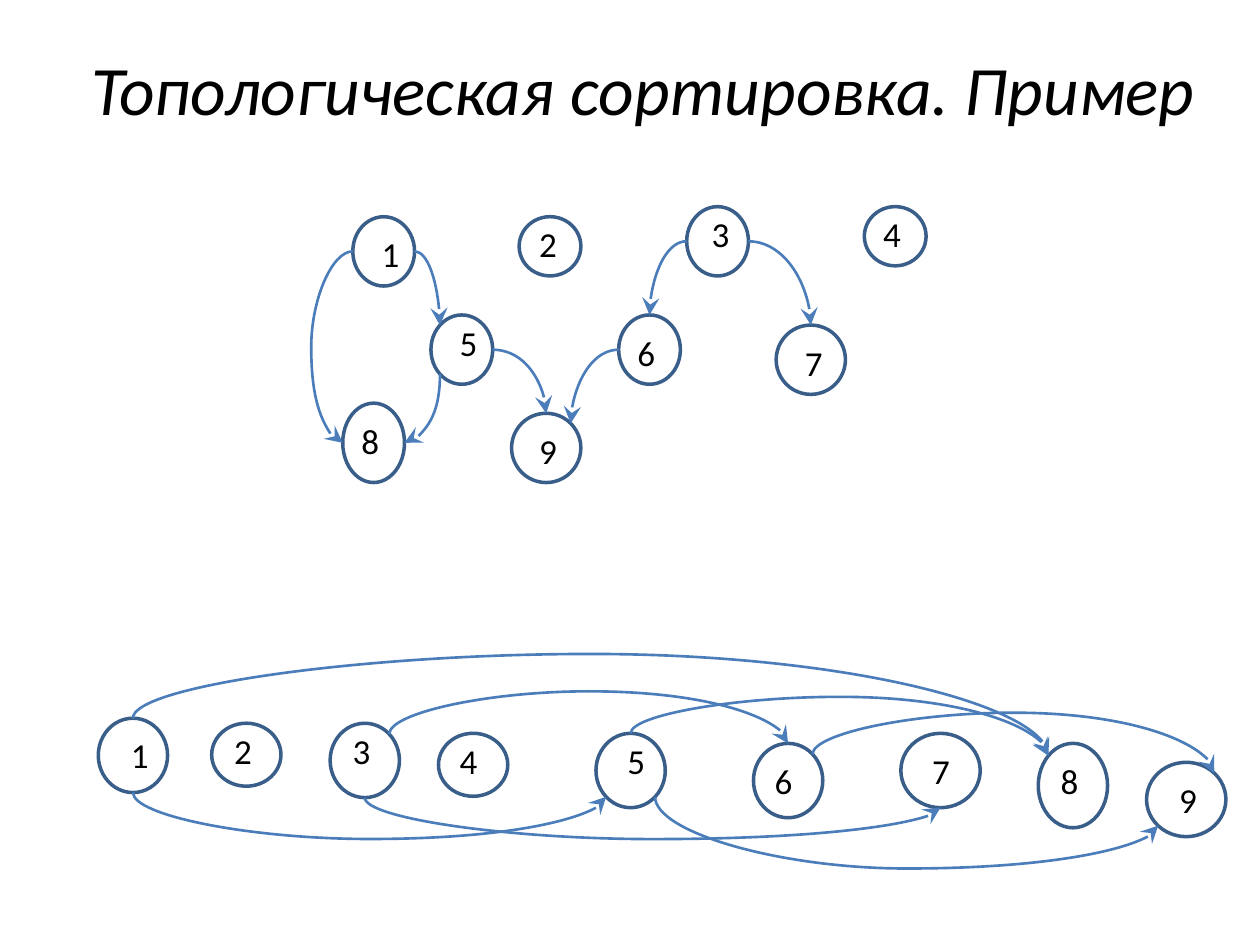
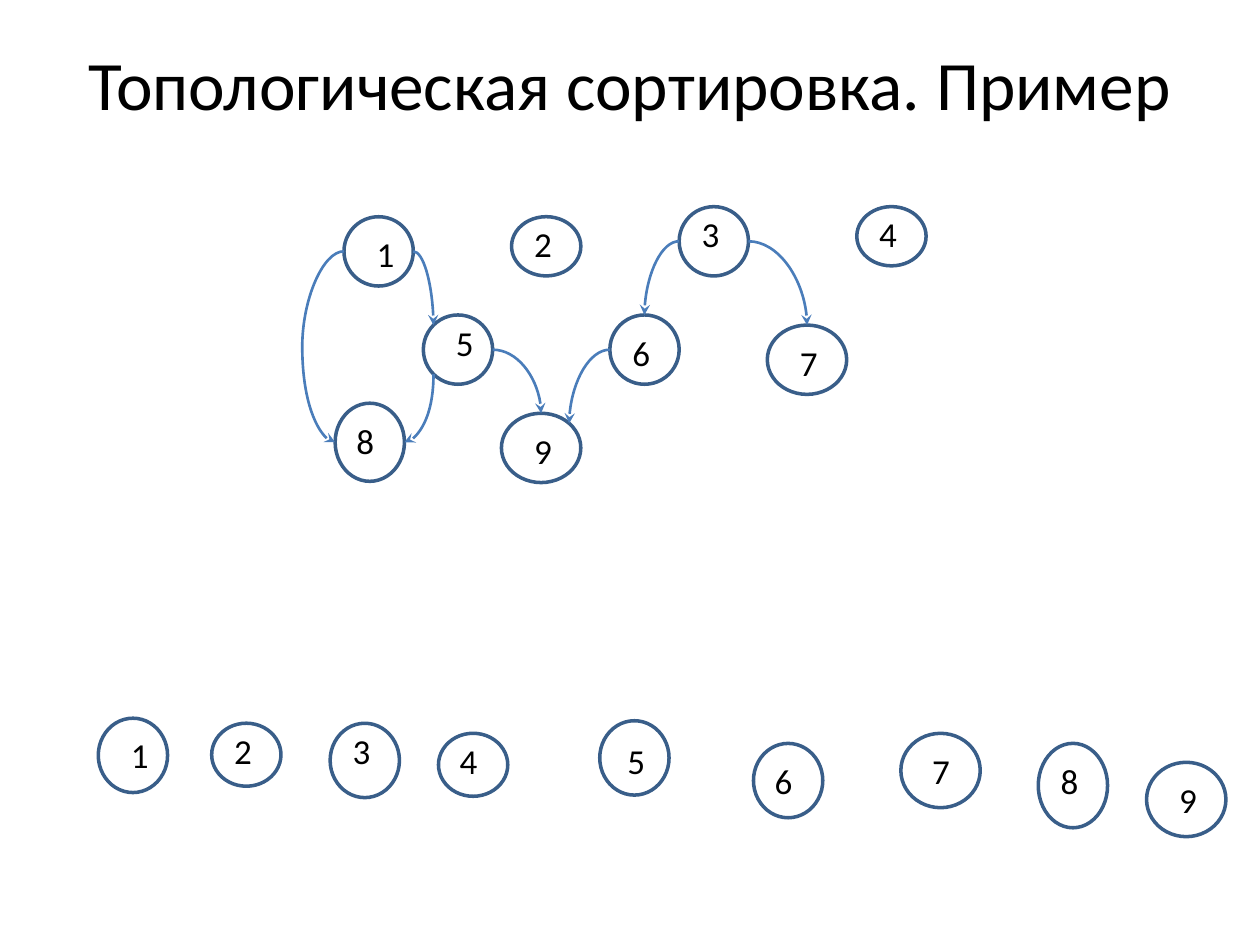
from math import sqrt

from lxml.etree import SubElement
from pptx import Presentation
from pptx.dml.color import RGBColor
from pptx.enum.shapes import MSO_CONNECTOR, MSO_SHAPE
from pptx.enum.text import MSO_ANCHOR, MSO_AUTO_SIZE, PP_ALIGN
from pptx.oxml.ns import qn
from pptx.util import Inches, Pt

TITLE = "Топологическая сортировка. Пример"
FONT = "Calibri"
COLORS = {"ring": "395E89", "arrow": "4A7DBA", "text": "000000"}
LABEL_HEIGHT = 0.44

# vertex: (left, top, width, height), (label left, label top, label width)
NARROW_GRAPH = {
    "1": ((2.80, 1.72, 0.49, 0.55), (2.93, 1.80, 0.28)),
    "2": ((4.12, 1.72, 0.49, 0.47), (4.18, 1.72, 0.31)),
    "3": ((5.45, 1.64, 0.49, 0.55), (5.55, 1.64, 0.24)),
    "4": ((6.86, 1.64, 0.49, 0.47), (6.91, 1.64, 0.31)),
    "5": ((3.42, 2.50, 0.49, 0.55), (3.55, 2.50, 0.28)),
    "6": ((4.91, 2.50, 0.49, 0.55), (4.96, 2.58, 0.28)),
    "7": ((6.16, 2.58, 0.55, 0.55), (6.29, 2.66, 0.29)),
    "8": ((2.72, 3.20, 0.49, 0.63), (2.77, 3.28, 0.31)),
    "9": ((4.06, 3.28, 0.55, 0.55), (4.18, 3.36, 0.28)),
}
WIDE_GRAPH = {
    "1": ((2.73, 1.72, 0.55, 0.55), (2.89, 1.80, 0.31)),
    "2": ((4.06, 1.72, 0.55, 0.47), (4.14, 1.72, 0.34)),
    "3": ((5.39, 1.64, 0.55, 0.55), (5.47, 1.64, 0.31)),
    "4": ((6.80, 1.64, 0.55, 0.47), (6.88, 1.64, 0.34)),
    "5": ((3.36, 2.50, 0.55, 0.55), (3.52, 2.50, 0.31)),
    "6": ((4.84, 2.50, 0.55, 0.55), (4.92, 2.58, 0.31)),
    "7": ((6.09, 2.58, 0.63, 0.55), (6.25, 2.66, 0.31)),
    "8": ((2.66, 3.20, 0.55, 0.62), (2.73, 3.28, 0.34)),
    "9": ((3.98, 3.28, 0.63, 0.55), (4.14, 3.36, 0.31)),
}
SORTED_ROW = {
    "1": ((0.78, 5.70, 0.55, 0.59), (0.94, 5.77, 0.35)),
    "2": ((1.68, 5.74, 0.55, 0.50), (1.76, 5.74, 0.34)),
    "3": ((2.62, 5.74, 0.55, 0.59), (2.70, 5.74, 0.31)),
    "4": ((3.48, 5.82, 0.55, 0.50), (3.55, 5.82, 0.34)),
    "5": ((4.73, 5.82, 0.55, 0.59), (4.88, 5.82, 0.31)),
    "6": ((5.98, 5.90, 0.55, 0.59), (6.05, 5.98, 0.31)),
    "7": ((7.15, 5.82, 0.63, 0.59), (7.30, 5.90, 0.31)),
    "8": ((8.24, 5.90, 0.55, 0.67), (8.32, 5.98, 0.34)),
    "9": ((9.10, 6.05, 0.63, 0.59), (9.26, 6.13, 0.31)),
}
RAISED_ROW = SORTED_ROW | {"5": ((4.76, 5.72, 0.55, 0.59), (4.88, 5.82, 0.31))}

# Points on a vertex, in the order of the ellipse's connection sites
DIAGONAL = sqrt(0.5)
SITES = {
    "top": (0, -1),
    "top left": (-DIAGONAL, -DIAGONAL),
    "left": (-1, 0),
    "bottom left": (-DIAGONAL, DIAGONAL),
    "bottom": (0, 1),
    "bottom right": (DIAGONAL, DIAGONAL),
    "right": (1, 0),
    "top right": (DIAGONAL, -DIAGONAL),
}
SITE_ORDER = list(SITES)

# source, its site, target, its site, bow (how far the arc swings past its start)
GRAPH_EDGES = [
    ("3", "left", "6", "top", None),
    ("6", "left", "9", "top right", None),
    ("5", "right", "9", "top", None),
    ("5", "bottom left", "8", "right", None),
    ("1", "left", "8", "left", -0.33),
    ("1", "right", "5", "top left", None),
    ("3", "right", "7", "top", None),
]
ROW_EDGES = [
    ("3", "top right", "6", "top", -0.34),
    ("6", "top right", "9", "top right", -0.33),
    ("5", "bottom right", "9", "bottom left", 0.57),
    ("5", "top", "8", "top left", -0.29),
    ("1", "top", "8", "top left", -0.51),
    ("1", "bottom", "5", "bottom left", 0.37),
    ("3", "bottom", "7", "bottom", 0.33),
]

SLIDES = [
    {
        "title_box": (0.47, 0.23, 9.27, 0.94), "italic": True, "head": "lg",
        "parts": [(NARROW_GRAPH, GRAPH_EDGES), (SORTED_ROW, ROW_EDGES)],
    },
    {
        "title_box": (0.5, 0.3, 9, 0.72), "italic": False, "head": "med",
        "parts": [(WIDE_GRAPH, GRAPH_EDGES), (RAISED_ROW, [])],
    },
]


def color(name):
    return RGBColor.from_string(COLORS[name])


def add_text(slide, box, text, size, italic=False):
    frame = slide.shapes.add_textbox(*map(Inches, box)).text_frame
    frame.word_wrap = True
    run = frame.paragraphs[0].add_run()
    run.text = text
    run.font.name, run.font.size, run.font.italic = FONT, Pt(size), italic
    run.font.color.rgb = color("text")
    return frame


def add_title(slide, box, italic):
    frame = add_text(slide, box, TITLE, 39.6, italic)
    frame.vertical_anchor = MSO_ANCHOR.MIDDLE
    frame.paragraphs[0].alignment = PP_ALIGN.CENTER


def add_vertex(slide, number, ring_box, label_box):
    ring = slide.shapes.add_shape(MSO_SHAPE.OVAL, *map(Inches, ring_box))
    ring.shadow.inherit = False
    ring.fill.background()
    ring.line.color.rgb = color("ring")
    ring.line.width = Pt(2)
    label = add_text(slide, (*label_box, LABEL_HEIGHT), number, 20)
    label.auto_size = MSO_AUTO_SIZE.SHAPE_TO_FIT_TEXT
    return ring


def site_point(box, site):
    left, top, width, height = box
    across, down = SITES[site]
    return left + width / 2 * (1 + across), top + height / 2 * (1 + down)


def add_edge(slide, vertices, rings, edge, head):
    """Draw a downward curved arrow that leaves its source sideways or vertically."""
    source, source_site, target, target_site, bow = edge
    x1, y1 = site_point(vertices[source][0], source_site)
    x2, y2 = site_point(vertices[target][0], target_site)
    run, drop = x2 - x1, y2 - y1

    if source_site in ("left", "right"):
        span, width, height, rotation, flipped = run, abs(run), drop, 0, run < 0
    else:
        # A vertical start is a sideways one turned by a quarter
        span, width, height = drop, drop, abs(run)
        rotation, flipped = (270, True) if run > 0 else (90, False)
    left, top = (x1 + x2 - width) / 2, (y1 + y2 - height) / 2
    start, end = (left + width, left) if flipped else (left, left + width)

    arrow = slide.shapes.add_connector(
        MSO_CONNECTOR.CURVE, *map(Inches, (start, top, end, top + height)))
    arrow.line.color.rgb = color("arrow")
    arrow.line.width = Pt(1.5)

    element = arrow.element
    if rotation:
        element.spPr.find(qn("a:xfrm")).set("rot", str(rotation * 60000))
    geometry = element.spPr.find(qn("a:prstGeom"))
    if bow is None:
        geometry.set("prst", "curvedConnector2")
    else:
        SubElement(geometry.find(qn("a:avLst")), qn("a:gd"), name="adj1",
                   fmla=f"val {round(bow / span * 100000)}")
    SubElement(element.spPr.find(qn("a:ln")), qn("a:tailEnd"),
               type="stealth", w=head, len=head)
    SubElement(element.spPr, qn("a:effectLst"))

    glue = element.find(f"{qn('p:nvCxnSpPr')}/{qn('p:cNvCxnSpPr')}")
    for tag, vertex, site in (("a:stCxn", source, source_site),
                              ("a:endCxn", target, target_site)):
        SubElement(glue, qn(tag), id=str(rings[vertex].shape_id),
                   idx=str(SITE_ORDER.index(site)))


def main():
    presentation = Presentation()
    presentation.slide_width, presentation.slide_height = Inches(10), Inches(7.5)
    for content in SLIDES:
        slide = presentation.slides.add_slide(presentation.slide_layouts[6])
        add_title(slide, content["title_box"], content["italic"])
        for vertices, edges in content["parts"]:
            rings = {number: add_vertex(slide, number, *boxes)
                     for number, boxes in vertices.items()}
            for edge in edges:
                add_edge(slide, vertices, rings, edge, content["head"])
    presentation.save("out.pptx")


if __name__ == "__main__":
    main()
